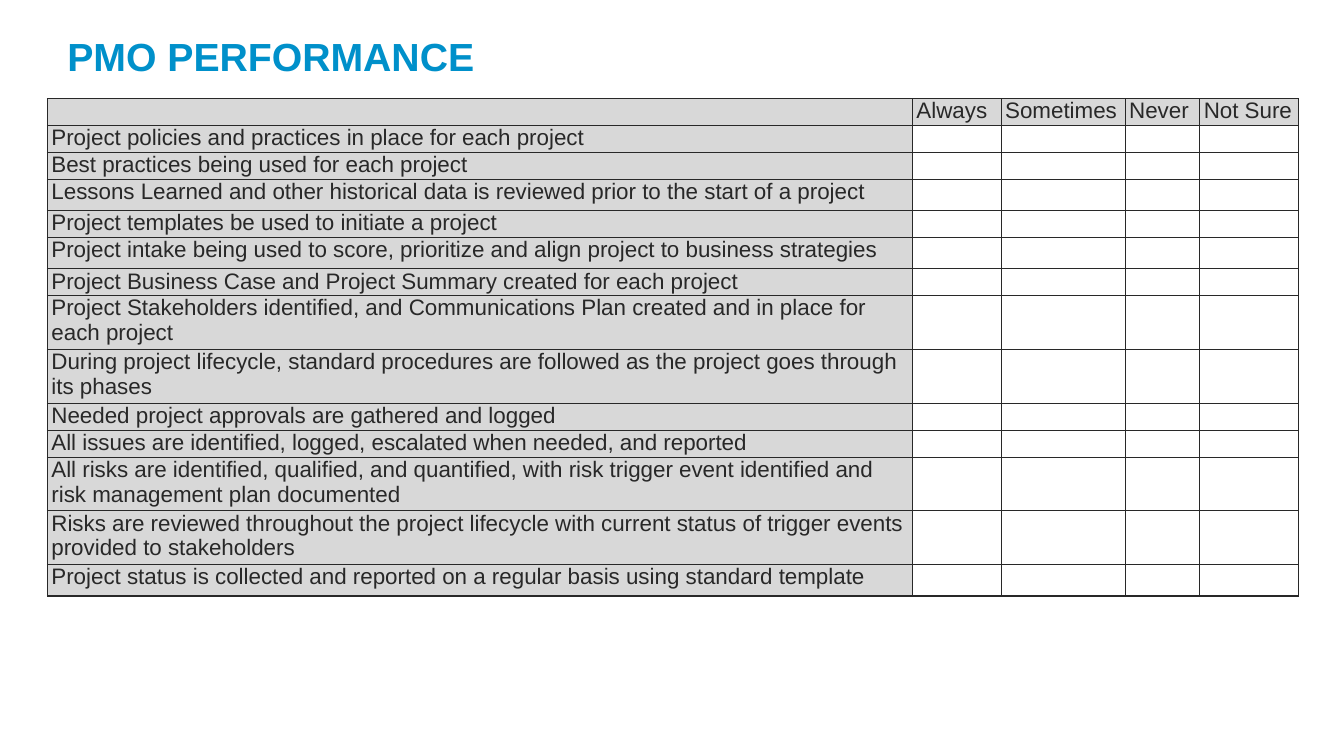
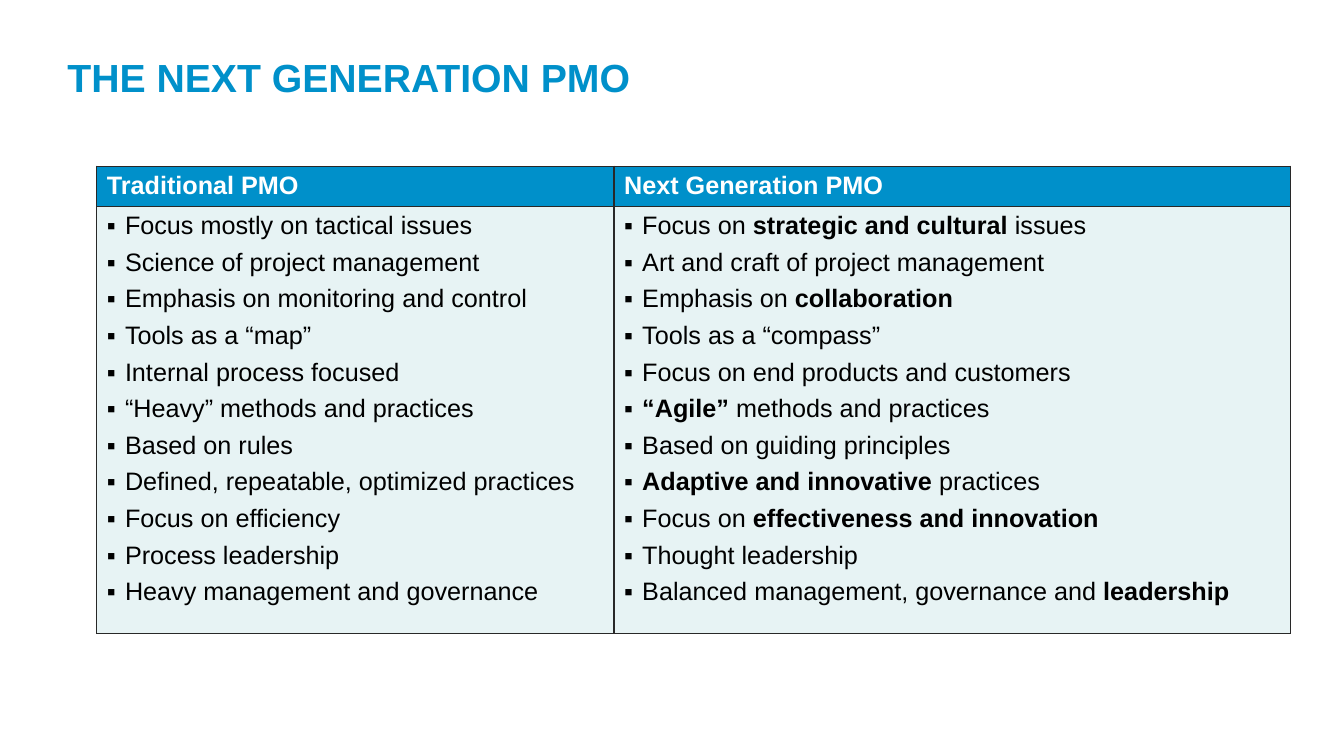
from lxml import etree
from pptx import Presentation
from pptx.dml.color import RGBColor
from pptx.enum.text import MSO_ANCHOR
from pptx.oxml.ns import qn
from pptx.util import Inches, Pt

MIDDLE = MSO_ANCHOR.MIDDLE
BLUE, INK, BLACK, WHITE = "0090CA", "282828", "000000", "FFFFFF"
GREY, PALE = "D8D8D8", "E7F3F4"

SINGLE, SPACED, DOUBLE = 0.24, 0.31, 0.49
RATINGS = ["Always", "Sometimes", "Never", "Not Sure"]
PRACTICES = [
    ("Project policies and practices in place for each project", SINGLE),
    ("Best practices being used for each project", SINGLE),
    ("Lessons Learned and other historical data is reviewed prior to the start of a project", SPACED),
    ("Project templates be used to initiate a project", SINGLE),
    ("Project intake being used to score, prioritize and align project to business strategies", SPACED),
    ("Project Business Case and Project Summary created for each project", SINGLE),
    ("Project Stakeholders identified, and Communications Plan created and in place for each project", DOUBLE),
    ("During project lifecycle, standard procedures are followed as the project goes through its phases", DOUBLE),
    ("Needed project approvals are gathered and logged", SINGLE),
    ("All issues are identified, logged, escalated when needed, and reported", SINGLE),
    ("All risks are identified, qualified, and quantified, with risk trigger event identified and "
     "risk management plan documented", DOUBLE),
    ("Risks are reviewed throughout the project lifecycle with current status of trigger events "
     "provided to stakeholders", DOUBLE),
    ("Project status is collected and reported on a regular basis using standard template", SPACED),
]
COMPARISON = [
    ("Focus mostly on tactical issues", "Focus on **strategic and cultural **issues"),
    ("Science of project management", "Art and craft of project management"),
    ("Emphasis on monitoring and control", "Emphasis on **collaboration**"),
    ("Tools as a “map”", "Tools as a “compass”"),
    ("Internal process focused", "Focus on end products and customers"),
    ("“Heavy” methods and practices", "**“Agile” **methods and practices"),
    ("Based on rules", "Based on guiding principles"),
    ("Defined, repeatable, optimized practices", "**Adaptive and innovative **practices"),
    ("Focus on efficiency", "Focus on **effectiveness and innovation**"),
    ("Process leadership", "Thought leadership"),
    ("Heavy management and governance", "Balanced management, governance and **leadership**"),
]


def rgb(color):
    return RGBColor.from_string(color)


class Deck:
    font = "Arial"

    def __init__(self):
        self.prs = Presentation()
        self.prs.slide_width, self.prs.slide_height = Inches(13.33), Inches(7.5)
        self.slide = None

    def add_slide(self, title, top, width):
        self.slide = self.prs.slides.add_slide(self.prs.slide_layouts[6])
        frame = self.slide.shapes.add_textbox(
            Inches(0.57), Inches(top), Inches(width), Inches(0.85)).text_frame
        frame.word_wrap = True
        frame.vertical_anchor = MIDDLE
        self.set_text(frame.paragraphs[0], title, 28, BLUE, bold=True)

    def set_text(self, paragraph, text, size, color, bold=False):
        font = paragraph.font
        font.name, font.size, font.bold = self.font, Pt(size), bold
        font.color.rgb = rgb(color)
        for index, part in enumerate(text.split("**")):
            if part:
                run = paragraph.add_run()
                run.text = part
                if index % 2:
                    run.font.bold = True
        if not text:
            etree.SubElement(paragraph._p, qn("a:endParaRPr"), sz=str(size * 100))

    def add_bullet(self, paragraph):
        props = paragraph._p.get_or_add_pPr()
        indent = Inches(0.18)
        props.set("marL", str(indent))
        props.set("indent", str(-indent))
        tint = etree.SubElement(props, qn("a:buClr"))
        etree.SubElement(tint, qn("a:srgbClr"), val=BLACK)
        etree.SubElement(props, qn("a:buFont"), typeface=self.font)
        etree.SubElement(props, qn("a:buChar"), char="▪")

    def add_table(self, left, top, widths, heights):
        table = self.slide.shapes.add_table(
            len(heights), len(widths), Inches(left), Inches(top),
            Inches(sum(widths)), Inches(sum(heights))).table
        table.first_row = table.horz_banding = False
        for column, width in zip(table.columns, widths):
            column.width = Inches(width)
        for row, height in zip(table.rows, heights):
            row.height = Inches(height)
        return table

    def fill_cell(self, cell, lines, fill, size, color, bold=False, bullets=False, margins=(0.1, 0.05)):
        side, edge = map(Inches, margins)
        cell.margin_left = cell.margin_right = side
        cell.margin_top = cell.margin_bottom = edge
        props = cell._tc.get_or_add_tcPr()
        for border in ("a:lnL", "a:lnR", "a:lnT", "a:lnB"):
            line = etree.SubElement(props, qn(border), w=str(Pt(1)))
            paint = etree.SubElement(line, qn("a:solidFill"))
            etree.SubElement(paint, qn("a:srgbClr"), val=INK)
        cell.fill.solid()
        cell.fill.fore_color.rgb = rgb(fill)
        for index, text in enumerate(lines):
            paragraph = cell.text_frame.add_paragraph() if index else cell.text_frame.paragraphs[0]
            if bullets:
                self.add_bullet(paragraph)
            if index:
                paragraph.space_before = Pt(6)
            self.set_text(paragraph, text, size, color, bold)


def performance_slide(deck):
    deck.add_slide("PMO PERFORMANCE", 0.13, 11.79)
    rows = [["", *RATINGS]] + [[practice] + [""] * len(RATINGS) for practice, _ in PRACTICES]
    heights = [SINGLE] + [height for _, height in PRACTICES]
    survey = deck.add_table(0.47, 0.98, [8.58, 0.88, 1.23, 0.74, 0.98], heights)
    for r, row in enumerate(rows):
        for c, text in enumerate(row):
            fill = GREY if r == 0 or c == 0 else WHITE
            deck.fill_cell(survey.cell(r, c), [text], fill, 16, INK, margins=(0.04, 0))


def next_generation_slide(deck):
    deck.add_slide("THE NEXT GENERATION PMO", 0.34, 11.18)
    comparison = deck.add_table(0.96, 1.65, [5.13, 6.71], [0.4, 4])
    headings = ["Traditional PMO", "Next Generation PMO"]
    for c, (heading, traits) in enumerate(zip(headings, zip(*COMPARISON))):
        deck.fill_cell(comparison.cell(0, c), [heading], BLUE, 18, WHITE, bold=True)
        deck.fill_cell(comparison.cell(1, c), traits, PALE, 18, BLACK, bullets=True)


def main():
    deck = Deck()
    performance_slide(deck)
    next_generation_slide(deck)
    deck.prs.save("out.pptx")


if __name__ == "__main__":
    main()
